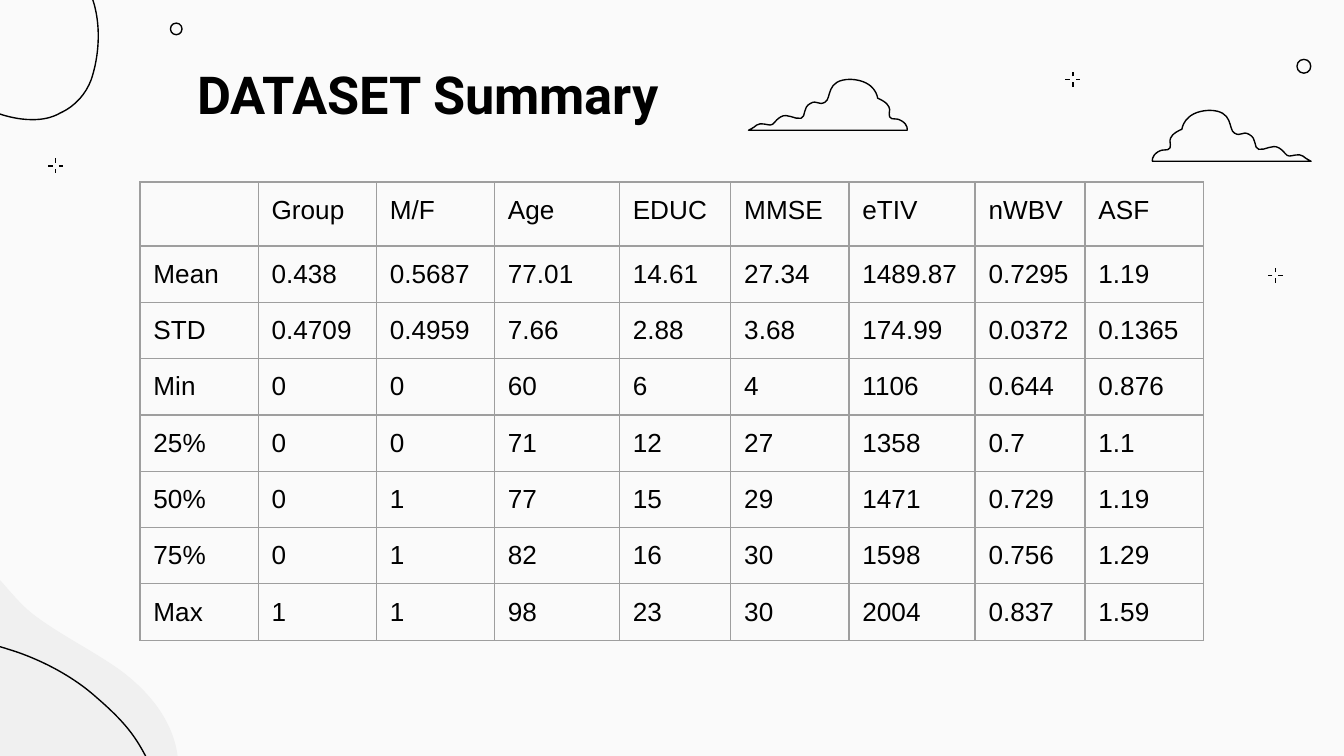
from lxml import etree
from pptx import Presentation
from pptx.dml.color import RGBColor
from pptx.enum import shapes, text
from pptx.oxml import ns
from pptx.util import Pt

COLORS = {"background": "FAFAFA", "ink": "000000", "blob": "F0F0F0", "border": "9E9E9E"}
TITLE = "DATASET Summary"
SUMMARY = [
    ("", "Group", "M/F", "Age", "EDUC", "MMSE", "eTIV", "nWBV", "ASF"),
    ("Mean", "0.438", "0.5687", "77.01", "14.61", "27.34", "1489.87", "0.7295", "1.19"),
    ("STD", "0.4709", "0.4959", "7.66", "2.88", "3.68", "174.99", "0.0372", "0.1365"),
    ("Min", "0", "0", "60", "6", "4", "1106", "0.644", "0.876"),
    ("25%", "0", "0", "71", "12", "27", "1358", "0.7", "1.1"),
    ("50%", "0", "1", "77", "15", "29", "1471", "0.729", "1.19"),
    ("75%", "0", "1", "82", "16", "30", "1598", "0.756", "1.29"),
    ("Max", "1", "1", "98", "23", "30", "2004", "0.837", "1.59"),
]
COLUMN_WIDTHS = [63.3, 63.3, 63.3, 66.9, 59.7, 63.3, 67.6, 58.9, 63.3]
HEADER_HEIGHT, ROW_HEIGHT, INSET = 34.3, 30, 7.2
LINE_WIDTH = 0.75

CORNER_LOOP = [
    (26.6, -21.6), (23.8, -21.6), (20.9, -20.9), (18.7, -19.4),
    (15.1, -18), (13, -15.8), (10.1, -14.4), (0.7, -8.6), (-7.9, -10.8), (-18, -10.1),
    (-25.2, -8.6), (-31.7, -5.8), (-36, 0), (-38.9, 3.6), (-41, 8.6), (-41, 13.7),
    (-41.8, 27.4), (-32.4, 41.8), (-21.6, 49.7), (-11.5, 57.6), (3.6, 64.1), (17.3, 64.1),
    (22.3, 64.1), (27.4, 63.4), (32.4, 60.5), (40.3, 56.9), (46.1, 50.4), (49, 42.5),
    (54.7, 25.2), (54.7, 1.4), (42.5, -13.7), (38.2, -18.7), (32.4, -21.6), (26.6, -21.6),
]
BLOB = [
    (-28.1, 293.8), (-21.6, 294.5), (-15.1, 297.4), (-9.4, 301.7),
    (0.7, 309.6), (7.9, 321.8), (18.7, 329.8), (33.1, 340.6), (49.7, 348.5), (64.8, 359.3),
    (79.2, 370.1), (92.2, 385.2), (95, 403.9), (97.9, 425.5), (90.7, 449.3), (77, 465.8),
    (54.7, 493.2), (20.2, 497.5), (-12.2, 491.8), (-82.1, 477.4), (-100.8, 385.2), (-78.5, 326.2),
    (-73.4, 313.2), (-64.8, 301), (-52.6, 295.9), (-43.9, 293), (-36, 292.3), (-28.1, 293.8),
]
BLOB_LINE = [
    (83.5, 435.6), (87.1, 430.6), (87.8, 422.6), (82.8, 414),
    (74.9, 399.6), (72.7, 391.7), (51.8, 373.7), (31, 355), (4.3, 347.8), (4.3, 347.8),
    (4.3, 347.8), (-19.4, 339.1), (-31, 348.5), (-31.7, 348.5), (-33.1, 349.2), (-33.8, 350.6),
    (-41, 360), (-27.4, 375.8), (-21.6, 386.6), (-15.8, 398.2), (-15.8, 411.8), (5.8, 430.6),
    (27.4, 448.6), (43.2, 452.9), (49, 446.4), (54.7, 438.5), (60.5, 439.2), (72.7, 439.9),
    (77.8, 439.9), (81.4, 438.5), (83.5, 435.6),
]
CLOUD = [
    (483.1, 64.8), (479.5, 62.6), (478.1, 64.8), (476.6, 62.6),
    (475.2, 61.2), (480.2, 56.9), (470.2, 52.6), (470.2, 52.6), (469.4, 43.2), (455.8, 42.5),
    (442.1, 42.5), (445.7, 52.6), (442.1, 54.7), (438.5, 56.9), (437.8, 53.3), (434.2, 55.4),
    (429.8, 57.6), (432, 62.6), (429.1, 63.4), (425.5, 64.1), (421.9, 60.5), (418.3, 62.6),
    (414.7, 64.8), (414.7, 67), (412.6, 67), (411.1, 67), (407.5, 65.5), (405.4, 67),
    (403.9, 68.4), (401, 69.8), (401, 69.8), (401, 69.8), (486, 69.8), (486, 69.8),
    (486, 69.8), (486.7, 67), (483.1, 64.8),
]
MIRRORED_CLOUD = [(1103.4 - x, y + 16.6) for x, y in CLOUD]
RINGS = [(94.4, 15.5, 6.2), (698.5, 35.5, 7.4)]
SPARKLES = [(29.9, 88.9), (683.2, 147.6), (574.8, 42.5)]
SPARKLE_GAP, SPARKLE_REACH = 1.6, 4


def color(name):
    return RGBColor.from_string(COLORS[name])


def style(shape, fill=None):
    shape.shadow.inherit = False
    if fill:
        shape.fill.solid()
        shape.fill.fore_color.rgb = color(fill)
        shape.line.fill.background()
    else:
        shape.fill.background()
        shape.line.color.rgb = color("ink")
        shape.line.width = Pt(LINE_WIDTH)


def add_curve(slide, points, fill=None):
    start, *controls = [(Pt(x), Pt(y)) for x, y in points]
    builder = slide.shapes.build_freeform(*start)
    builder.add_line_segments(controls, close=True)
    outline = builder.convert_to_shape()
    segments = list(outline._element.iter(ns.qn("a:lnTo")))
    for i in range(0, len(segments), 3):
        first, *others = segments[i:i + 3]
        first.tag = ns.qn("a:cubicBezTo")
        for other in others:
            first.append(other[0])
            other.getparent().remove(other)
    style(outline, fill)


def add_sparkle(slide, x, y):
    for dx, dy in ((0, -1), (0, 1), (-1, 0), (1, 0)):
        ends = [Pt(c + d * r) for r in (SPARKLE_GAP, SPARKLE_REACH) for c, d in ((x, dx), (y, dy))]
        arm = slide.shapes.add_connector(shapes.MSO_CONNECTOR.STRAIGHT, *ends)
        arm.line.color.rgb = color("ink")
        arm.line.width = Pt(LINE_WIDTH)
        etree.SubElement(arm._element.spPr, ns.qn("a:effectLst"))


def add_borders(cell):
    properties = cell._tc.get_or_add_tcPr()
    for side in ("lnL", "lnR", "lnT", "lnB"):
        border = etree.SubElement(properties, ns.qn(f"a:{side}"), w=str(Pt(LINE_WIDTH)))
        solid = etree.SubElement(border, ns.qn("a:solidFill"))
        etree.SubElement(solid, ns.qn("a:srgbClr"), val=COLORS["border"])


def set_insets(box):
    box.margin_left = box.margin_right = box.margin_top = box.margin_bottom = Pt(INSET)


def set_font(paragraph, name, size):
    paragraph.font.name = name
    paragraph.font.size = Pt(size)
    paragraph.font.color.rgb = color("ink")


def add_title(slide):
    title = slide.shapes.title
    title.left, title.top, title.width, title.height = Pt(70.2), Pt(13.7), Pt(318.2), Pt(73.4)
    frame = title.text_frame
    frame.text = TITLE
    frame.word_wrap = True
    frame.vertical_anchor = text.MSO_ANCHOR.MIDDLE
    set_insets(frame)
    heading = frame.paragraphs[0]
    heading.alignment = text.PP_ALIGN.CENTER
    set_font(heading, "Roboto", 28)
    heading.font.bold = True


def add_summary(slide):
    heights = [HEADER_HEIGHT] + [ROW_HEIGHT] * (len(SUMMARY) - 1)
    summary = slide.shapes.add_table(
        len(SUMMARY), len(COLUMN_WIDTHS), Pt(75), Pt(97.5),
        Pt(sum(COLUMN_WIDTHS)), Pt(sum(heights)),
    ).table
    summary.first_row = summary.horz_banding = False
    for column, width in zip(summary.columns, COLUMN_WIDTHS):
        column.width = Pt(width)
    for row, height, values in zip(summary.rows, heights, SUMMARY):
        row.height = Pt(height)
        for cell, value in zip(row.cells, values):
            set_insets(cell)
            add_borders(cell)
            cell.fill.background()
            cell.text = value
            set_font(cell.text_frame.paragraphs[0], "Arial", 14)


def main():
    deck = Presentation()
    deck.slide_width, deck.slide_height = Pt(720), Pt(405)
    slide = deck.slides.add_slide(deck.slide_layouts[5])
    slide.background.fill.solid()
    slide.background.fill.fore_color.rgb = color("background")
    add_curve(slide, BLOB, "blob")
    for outline in (CORNER_LOOP, BLOB_LINE, CLOUD, MIRRORED_CLOUD):
        add_curve(slide, outline)
    for x, y, size in RINGS:
        style(slide.shapes.add_shape(
            shapes.MSO_SHAPE.OVAL, Pt(x - size / 2), Pt(y - size / 2), Pt(size), Pt(size)))
    for x, y in SPARKLES:
        add_sparkle(slide, x, y)
    add_title(slide)
    add_summary(slide)
    deck.save("out.pptx")


if __name__ == "__main__":
    main()
